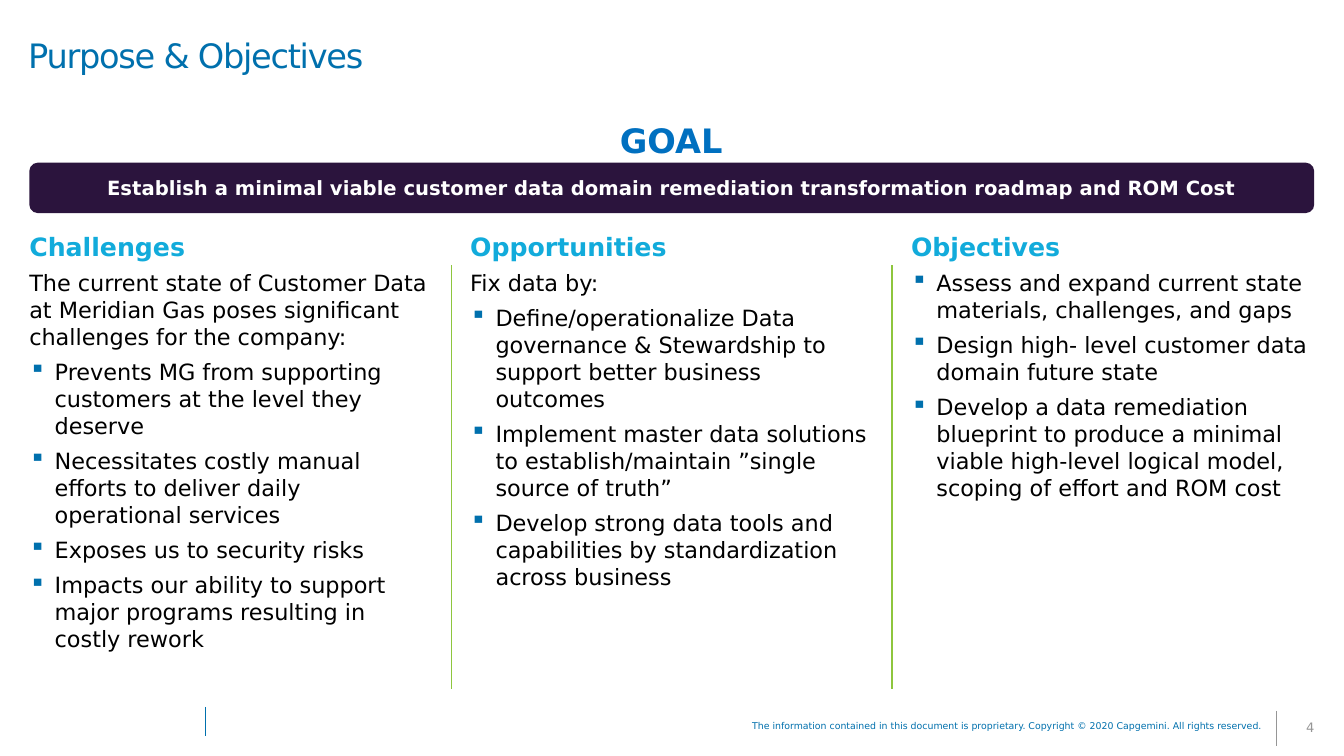
"""Build the Purpose & Objectives slide with its goal bar and three columns."""
from lxml import etree
from pptx import Presentation
from pptx.dml.color import RGBColor
from pptx.enum import shapes, text
from pptx.oxml import ns
from pptx.util import Cm, Pt

TITLE = "Purpose & Objectives"
GOAL_HEADING = "GOAL"
GOAL = ("Establish a minimal viable customer data domain remediation "
        "transformation roadmap and ROM Cost")
COLUMNS = [
    ("Challenges",
     "The current state of Customer Data at Meridian Gas poses significant "
     "challenges for the company:",
     ["Prevents MG from supporting customers at the level they deserve",
      "Necessitates costly manual efforts to deliver daily operational services",
      "Exposes us to security risks",
      "Impacts our ability to support major programs resulting in costly rework"],
     9.75),
    ("Opportunities",
     "Fix data by:",
     ["Define/operationalize Data governance & Stewardship to support better "
      "business outcomes",
      "Implement master data solutions to establish/maintain ”single source of truth”",
      "Develop strong data tools and capabilities by standardization across business"],
     9.07),
    ("Objectives",
     None,
     ["Assess and expand current state materials, challenges, and gaps",
      "Design high- level customer data domain future state",
      "Develop a data remediation blueprint to produce a minimal viable "
      "high-level logical model, scoping of effort and ROM cost"],
     6.58),
]
COPYRIGHT = ("The information contained in this document is proprietary. "
             "Copyright © 2020 Capgemini. All rights reserved.")
PAGE_NUMBER = "4"

FONT = "DejaVu Sans"
BLUE = RGBColor(0x00, 0x70, 0xAD)
GOAL_BLUE = RGBColor(0x00, 0x70, 0xC0)
CYAN = RGBColor(0x12, 0xAB, 0xDB)
PURPLE = RGBColor(0x2B, 0x14, 0x3D)
GREEN = RGBColor(0x8E, 0xC6, 0x3E)
GREY = RGBColor(0x96, 0x96, 0x96)
BLACK = RGBColor(0, 0, 0)
WHITE = RGBColor(255, 255, 255)

WIDTH, HEIGHT = 33.87, 19.05
LEFT, COLUMN_WIDTH, GAP = 0.74, 10.16, 0.95
STEP = COLUMN_WIDTH + GAP
BAR_WIDTH = (len(COLUMNS) - 1) * STEP + COLUMN_WIDTH
NO_INSETS = (0, 0, 0, 0)
FOOTER_INSETS = (0.25, 0.13, 0.25, 0.13)


def set_frame(frame, insets, anchor=text.MSO_ANCHOR.TOP):
    frame.word_wrap = True
    frame.vertical_anchor = anchor
    (frame.margin_left, frame.margin_top,
     frame.margin_right, frame.margin_bottom) = map(Cm, insets)


def add_bullet(paragraph):
    props = paragraph._p.get_or_add_pPr()
    props.set("marL", str(Cm(0.64)))
    props.set("indent", str(-Cm(0.64)))
    color = etree.SubElement(props, ns.qn("a:buClr"))
    etree.SubElement(color, ns.qn("a:srgbClr"), val=str(BLUE))
    etree.SubElement(props, ns.qn("a:buChar"), char="▪")


def style(paragraph, size, color, bold=False, align=None, after=None, spacing=None):
    if align is not None:
        paragraph.alignment = align
    if after is not None:
        paragraph.space_after = Pt(after)
    if spacing is not None:
        paragraph.line_spacing = spacing
    font = paragraph.font
    font.name, font.size, font.bold = FONT, Pt(size), bold
    font.color.rgb = color


def add_text(slide, box, words, insets=NO_INSETS, anchor=text.MSO_ANCHOR.TOP, **look):
    frame = slide.shapes.add_textbox(*map(Cm, box)).text_frame
    set_frame(frame, insets, anchor)
    frame.text = words
    style(frame.paragraphs[0], **look)


def add_rule(slide, x, top, bottom, color, width):
    rule = slide.shapes.add_connector(
        shapes.MSO_CONNECTOR.STRAIGHT, Cm(x), Cm(top), Cm(x), Cm(bottom))
    rule.line.color.rgb = color
    rule.line.width = Pt(width)
    etree.SubElement(rule._element.spPr, ns.qn("a:effectLst"))


def add_title(slide):
    title = slide.shapes.title
    title.left, title.top, title.width, title.height = map(Cm, (0, 0, WIDTH, 2.95))
    frame = title.text_frame
    set_frame(frame, (0.71, 0.08, 0.38, 0.08), text.MSO_ANCHOR.MIDDLE)
    frame.text = TITLE
    heading = frame.paragraphs[0]
    style(heading, 24, BLUE, align=text.PP_ALIGN.LEFT, spacing=0.85)
    heading.runs[0]._r.get_or_add_rPr().set("spc", "-90")


def add_goal(slide):
    add_text(slide, (13.03, 3.02, 7.77, 1.02), GOAL_HEADING, size=24,
             color=GOAL_BLUE, bold=True, align=text.PP_ALIGN.CENTER, after=6)
    bar = slide.shapes.add_shape(
        shapes.MSO_SHAPE.ROUNDED_RECTANGLE, *map(Cm, (LEFT, 4.1, BAR_WIDTH, 1.27)))
    bar.shadow.inherit = False
    bar.fill.solid()
    bar.fill.fore_color.rgb = PURPLE
    bar.line.fill.background()
    set_frame(bar.text_frame, FOOTER_INSETS, text.MSO_ANCHOR.MIDDLE)
    bar.text_frame.text = GOAL
    style(bar.text_frame.paragraphs[0], 14, WHITE, bold=True,
          align=text.PP_ALIGN.CENTER, after=6)


def add_column(slide, index, heading, intro, bullets, height):
    x = LEFT + index * STEP
    add_text(slide, (x, 5.82, COLUMN_WIDTH, 0.76), heading,
             size=18, color=CYAN, bold=True, after=6)
    frame = slide.shapes.add_textbox(*map(Cm, (x, 6.78, COLUMN_WIDTH, height))).text_frame
    set_frame(frame, NO_INSETS)
    lines = ([intro] if intro else []) + bullets
    for number, line in enumerate(lines):
        paragraph = frame.add_paragraph() if number else frame.paragraphs[0]
        paragraph.text = line
        if line != intro:
            add_bullet(paragraph)
        style(paragraph, 16, BLACK, after=6)
    if index:
        add_rule(slide, x - GAP / 2, 6.68, 17.35, GREEN, 1)


def add_footer(slide):
    add_rule(slide, 5.18, 17.81, 18.54, BLUE, 0.75)
    add_rule(slide, 32.18, 17.91, 18.8, GREY, 0.75)
    add_text(slide, (15.21, 18.08, 16.87, 0.51), COPYRIGHT, FOOTER_INSETS,
             size=6.7, color=BLUE, align=text.PP_ALIGN.RIGHT, spacing=0.85)
    add_text(slide, (32.18, 17.91, 1.68, 0.89), PAGE_NUMBER, FOOTER_INSETS,
             text.MSO_ANCHOR.MIDDLE, size=9.3, color=GREY,
             align=text.PP_ALIGN.CENTER, spacing=0.85)


def main():
    deck = Presentation()
    deck.slide_width, deck.slide_height = Cm(WIDTH), Cm(HEIGHT)
    slide = deck.slides.add_slide(deck.slide_layouts[5])
    add_title(slide)
    add_goal(slide)
    for index, column in enumerate(COLUMNS):
        add_column(slide, index, *column)
    add_footer(slide)
    deck.save("out.pptx")


if __name__ == "__main__":
    main()
